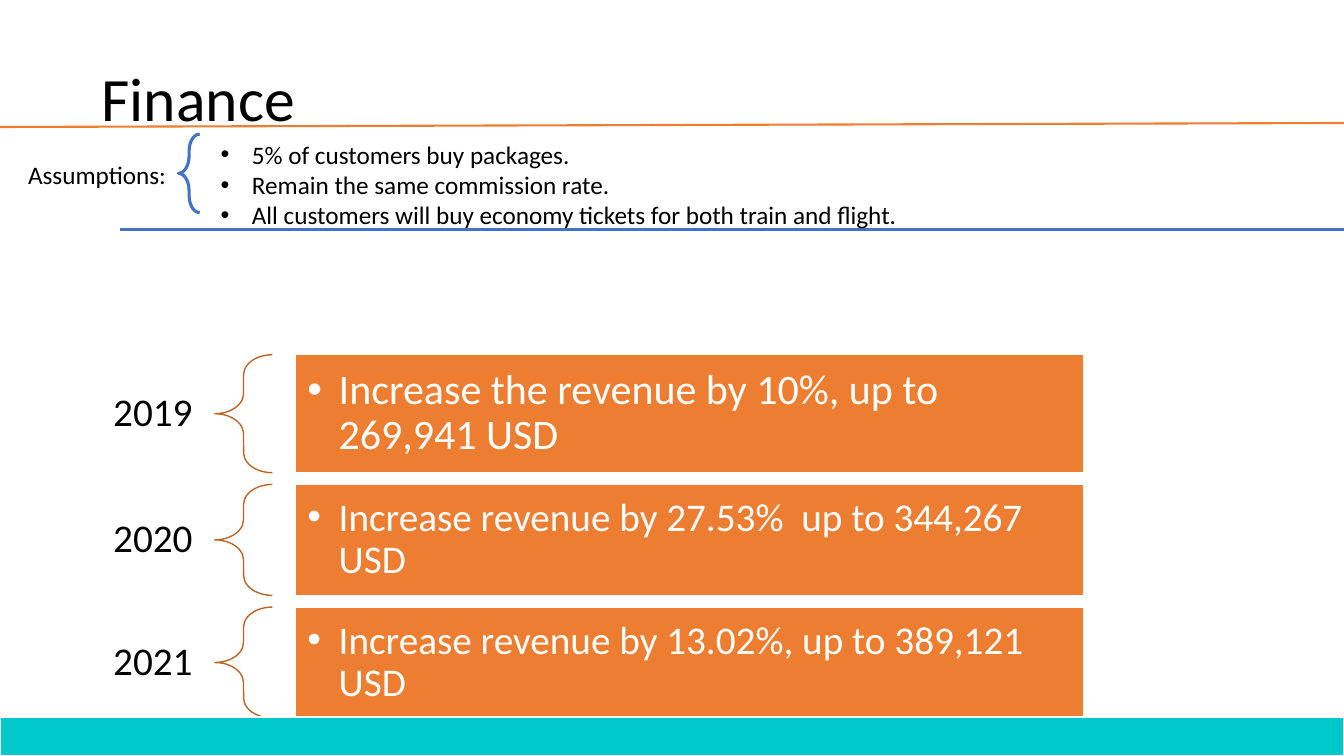
from dataclasses import dataclass

from lxml import etree
from pptx import Presentation
from pptx.dml.color import RGBColor
from pptx.enum.shapes import MSO_CONNECTOR, MSO_SHAPE
from pptx.enum.text import MSO_ANCHOR, PP_ALIGN
from pptx.oxml.ns import qn
from pptx.util import Inches, Pt

RECTANGLE, LEFT_BRACE = MSO_SHAPE.RECTANGLE, MSO_SHAPE.LEFT_BRACE
STRAIGHT = MSO_CONNECTOR.STRAIGHT
TOP, MIDDLE = MSO_ANCHOR.TOP, MSO_ANCHOR.MIDDLE
LEFT, RIGHT = PP_ALIGN.LEFT, PP_ALIGN.RIGHT

BLACK = RGBColor(0x00, 0x00, 0x00)
WHITE = RGBColor(0xFF, 0xFF, 0xFF)
ORANGE = RGBColor(0xED, 0x7D, 0x31)
RUST = RGBColor(0xBE, 0x64, 0x27)
BLUE = RGBColor(0x44, 0x72, 0xC4)
TEAL = RGBColor(0x00, 0xC7, 0xCC)
FONT_NAME = "Calibri"
BULLET_INDENT = Inches(0.31)

presentation = Presentation()
presentation.slide_width = Inches(13.33)
presentation.slide_height = Inches(7.5)
slide = presentation.slides.add_slide(presentation.slide_layouts[6])


@dataclass(frozen=True)
class Area:
    """Place in percent of the slide's width and height."""
    left: float
    top: float
    width: float
    height: float

    def emu(self) -> tuple[int, int, int, int]:
        return (across(self.left), down(self.top),
                across(self.width), down(self.height))


@dataclass(frozen=True)
class TextStyle:
    size: int
    color: RGBColor = BLACK
    align: PP_ALIGN = LEFT
    anchor: MSO_ANCHOR = TOP
    spacing: float = 1.0
    bulleted: bool = False
    wrap: bool = True
    side_inset: float = 0.1
    end_inset: float = 0.05


@dataclass(frozen=True)
class YearGoal:
    year: str
    goal: str
    height: float
    size: int


def across(percent: float) -> int:
    return round(presentation.slide_width * percent / 100)


def down(percent: float) -> int:
    return round(presentation.slide_height * percent / 100)


def write(shape, lines: list[str], style: TextStyle) -> None:
    frame = shape.text_frame
    frame.word_wrap = style.wrap
    frame.vertical_anchor = style.anchor
    frame.margin_left = frame.margin_right = Inches(style.side_inset)
    frame.margin_top = frame.margin_bottom = Inches(style.end_inset)
    frame.text = "\n".join(lines)
    for paragraph in frame.paragraphs:
        paragraph.alignment = style.align
        paragraph.line_spacing = style.spacing
        if style.bulleted:
            properties = paragraph._p.get_or_add_pPr()
            properties.set("marL", str(BULLET_INDENT))
            properties.set("indent", str(-BULLET_INDENT))
            etree.SubElement(properties, qn("a:buFont"), typeface="Arial")
            etree.SubElement(properties, qn("a:buChar"), char="•")
        paragraph.font.name = FONT_NAME
        paragraph.font.size = Pt(style.size)
        paragraph.font.color.rgb = style.color


def add_text(area: Area, lines: list[str], style: TextStyle) -> None:
    write(slide.shapes.add_textbox(*area.emu()), lines, style)


def add_block(area: Area, fill: RGBColor, line_width: float):
    block = slide.shapes.add_shape(RECTANGLE, *area.emu())
    block.shadow.inherit = False
    block.fill.solid()
    block.fill.fore_color.rgb = fill
    block.line.color.rgb = WHITE
    block.line.width = Pt(line_width)
    return block


def add_brace(area: Area, color: RGBColor, line_width: float, curve: float) -> None:
    brace = slide.shapes.add_shape(LEFT_BRACE, *area.emu())
    brace.shadow.inherit = False
    brace.fill.background()
    brace.line.color.rgb = color
    brace.line.width = Pt(line_width)
    brace.adjustments[0] = curve


def add_rule(start: tuple[float, float], end: tuple[float, float],
             color: RGBColor, line_width: float) -> None:
    rule = slide.shapes.add_connector(
        STRAIGHT, across(start[0]), down(start[1]), across(end[0]), down(end[1]))
    rule.line.color.rgb = color
    rule.line.width = Pt(line_width)
    etree.SubElement(rule._element.spPr, qn("a:effectLst"))


# Title
add_text(Area(6.82, 3.73, 86.25, 19.33), ["Finance"],
         TextStyle(44, anchor=MIDDLE, spacing=0.9))

# Yearly goals, stacked with an equal gap
YEAR_GOALS = [
    YearGoal("2019", "Increase the revenue by 10%, up to 269,941 USD", 15.6, 30),
    YearGoal("2020", "Increase revenue by 27.53%  up to 344,267 USD", 14.67, 28),
    YearGoal("2021", "Increase revenue by 13.02%, up to 389,121 USD", 14.67, 28),
]
ROW_GAP = 1.55
YEAR_STYLE = TextStyle(28, align=RIGHT, anchor=MIDDLE, spacing=0.9,
                       side_inset=0.22, end_inset=0.08)
row_top = 46.93
for row in YEAR_GOALS:
    add_text(Area(0, row_top, 15.98, row.height), [row.year], YEAR_STYLE)
    add_brace(Area(15.98, row_top, 4.28, row.height), RUST, 1, 0.35)
    goal_block = add_block(Area(21.98, row_top, 58.65, row.height), ORANGE, 1)
    write(goal_block, [row.goal],
          TextStyle(row.size, WHITE, anchor=MIDDLE, spacing=0.9, bulleted=True,
                    side_inset=0.12, end_inset=0.12))
    row_top += row.height + ROW_GAP

# Footer band
add_block(Area(0, 94.8, 100, 5.2), TEAL, 1.5)

# Rules around the assumptions
add_rule((0, 16.8), (100, 16.27), ORANGE, 1.5)
add_rule((8.93, 30.4), (100, 30.4), BLUE, 2.25)

# Assumptions
add_text(Area(1.35, 20.4, 11.93, 5.33), ["Assumptions:"], TextStyle(18, wrap=False))
add_brace(Area(13.28, 17.73, 1.58, 10.4), BLUE, 2.25, 0.8)
add_text(Area(15.68, 17.73, 82.82, 13.47), [
    "5% of customers buy packages.",
    "Remain the same commission rate.",
    "All customers will buy economy tickets for both train and flight.",
], TextStyle(18, bulleted=True))

presentation.save("out.pptx")
